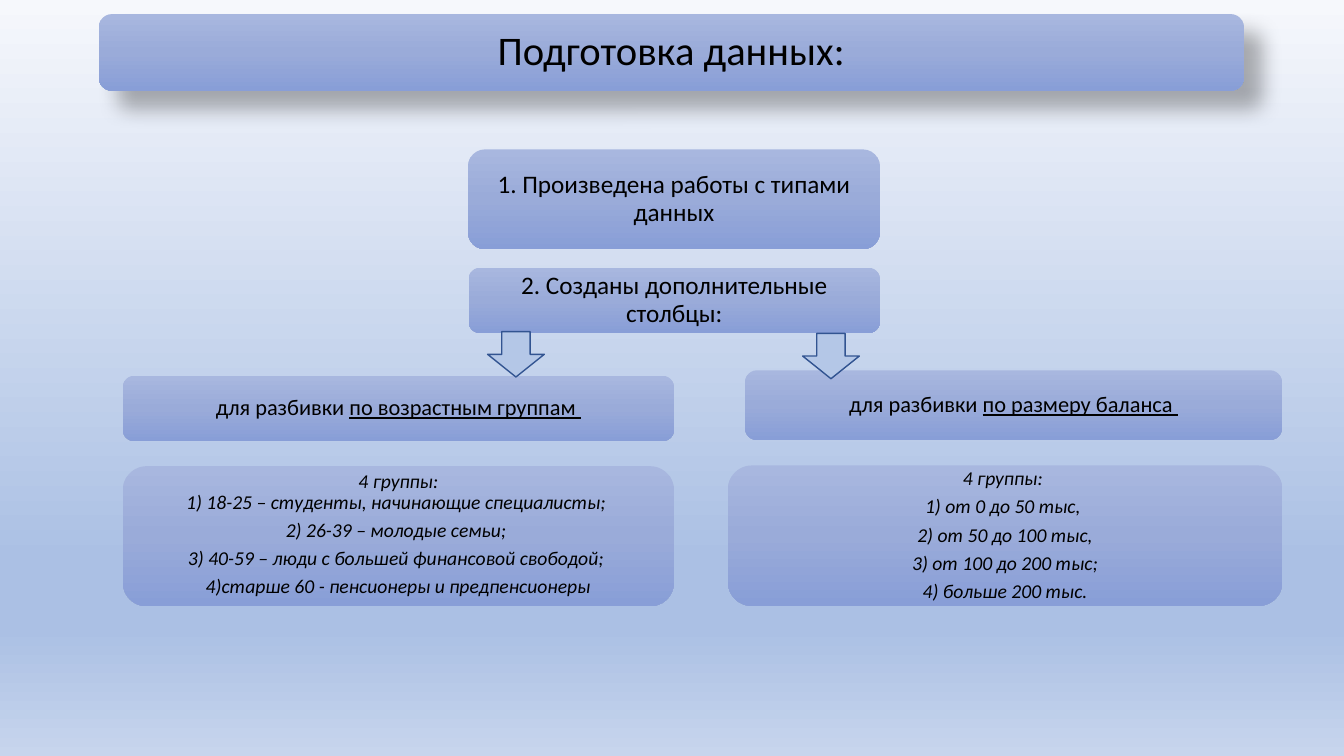
import pptx
import pptx.util
import pptx.dml.color
import pptx.enum.shapes
import pptx.enum.text
import pptx.oxml
import pptx.oxml.ns

Pt = pptx.util.Pt
RGBColor = pptx.dml.color.RGBColor
Shapes = pptx.enum.shapes.MSO_SHAPE
qn = pptx.oxml.ns.qn

COLORS = {
    "text": "000000",
    "arrow": "B4C7E7",
    "arrow_line": "325491",
    "shadow": "000000",
}
BOX_STOPS = [(0, "A8B7DF"), (50, "9AABD9"), (100, "889ED7")]
PAGE_STOPS = [(0, "F6F8FC"), (74, "ABC0E4"), (83, "ABC0E4"), (100, "C7D5ED")]


def add_run(paragraph, text, size=18, italic=False, underline=False, font="Calibri"):
    run = paragraph.add_run()
    run.text = text
    run.font.name = font
    run.font.size = Pt(size)
    run.font.italic = italic
    run.font.underline = underline
    run.font.color.rgb = RGBColor.from_string(COLORS["text"])


def parse_drawing(tag, body):
    return pptx.oxml.parse_xml(
        f'<a:{tag} {pptx.oxml.ns.nsdecls("a")}>{body}</a:{tag}>'
    )


def fill_gradient(fill, element, stops):
    """Fill from top to bottom with (percent, colour) stops."""
    fill.gradient()
    fill.gradient_angle = 270
    body = "".join(
        f'<a:gs pos="{percent * 1000}"><a:srgbClr val="{color}"/></a:gs>'
        for percent, color in stops
    )
    stop_list = next(element.iter(qn("a:gsLst")))
    stop_list.getparent().replace(stop_list, parse_drawing("gsLst", body))


class SlideBuilder:
    def __init__(self, slide):
        self.slide = slide
        fill_gradient(slide.background.fill, slide.element, PAGE_STOPS)

    def add_box(self, left, top, width, height, paragraphs, size, radius=0.17,
                italic=False, insets=(6, 6), first_spacing=(0.9, 0.35)):
        """Add a rounded box; each paragraph is a list of (text, underline)."""
        shape = self.slide.shapes.add_shape(
            Shapes.ROUNDED_RECTANGLE, Pt(left), Pt(top), Pt(width), Pt(height))
        shape.adjustments[0] = radius
        shape.shadow.inherit = False
        shape.line.fill.background()
        fill_gradient(shape.fill, shape.element, BOX_STOPS)
        frame = shape.text_frame
        frame.word_wrap = True
        frame.vertical_anchor = pptx.enum.text.MSO_ANCHOR.MIDDLE
        frame.margin_left = frame.margin_right = Pt(7)
        frame.margin_top, frame.margin_bottom = map(Pt, insets)
        for index, parts in enumerate(paragraphs):
            paragraph = frame.add_paragraph() if index else frame.paragraphs[0]
            line, after = (0.9, 0.35) if index else first_spacing
            paragraph.alignment = pptx.enum.text.PP_ALIGN.CENTER
            paragraph.line_spacing = line
            paragraph.space_after = Pt(round(after * size, 1))
            for text, underline in parts:
                add_run(paragraph, text, size=size, italic=italic, underline=underline)
        return shape

    def add_shadow(self, shape):
        effects = shape.element.spPr.find(qn("a:effectLst"))
        shadow = parse_drawing(
            "outerShdw",
            f'<a:srgbClr val="{COLORS["shadow"]}"><a:alpha val="30000"/></a:srgbClr>')
        for name, value in (("blurRad", Pt(15)), ("dist", Pt(18)), ("dir", 45 * 60000)):
            shadow.set(name, str(int(value)))
        shadow.set("algn", "ctr")
        shadow.set("rotWithShape", "0")
        effects.append(shadow)

    def add_arrow(self, left, top):
        shape = self.slide.shapes.add_shape(
            Shapes.DOWN_ARROW, Pt(left), Pt(top), Pt(40.5), Pt(32.4))
        shape.shadow.inherit = False
        shape.fill.solid()
        shape.fill.fore_color.rgb = RGBColor.from_string(COLORS["arrow"])
        shape.line.color.rgb = RGBColor.from_string(COLORS["arrow_line"])
        shape.line.width = Pt(1)


def plain(*lines):
    return [[(line, False)] for line in lines]


def main():
    presentation = pptx.Presentation()
    presentation.slide_width = Pt(960)
    presentation.slide_height = Pt(540)
    builder = SlideBuilder(presentation.slides.add_slide(presentation.slide_layouts[6]))

    # Title
    title = builder.add_box(70.6, 10.1, 817.9, 54.7, plain("Подготовка данных:"), 29)
    builder.add_shadow(title)

    # Preparation steps
    builder.add_box(334.3, 106.7, 294.2, 71.3,
                    plain("1. Произведена работы с типами данных"), 18)
    builder.add_box(334.8, 191.3, 293.7, 46.5,
                    plain("2. Созданы дополнительные столбцы:"), 18, insets=(4, 4))

    # Column headings
    headings = [
        (87.8, 268.5, 393.6, 46.5, "по возрастным группам "),
        (532.2, 264.5, 383.5, 49.7, "по размеру баланса "),
    ]
    for left, top, width, height, topic in headings:
        builder.add_box(left, top, width, height,
                        [[("для разбивки ", False), (topic, True)]], 16, insets=(4, 4))

    # Group lists
    builder.add_box(
        87.8, 333, 393.6, 100,
        plain("4 группы:",
              "1) 18-25 – студенты, начинающие специалисты; ",
              "2) 26-39 – молодые семьи; ",
              "3) 40-59 – люди с большей финансовой свободой; ",
              "4)старше 60 - пенсионеры и предпенсионеры"),
        14, italic=True, insets=(0, 4), first_spacing=(1.0, 0))
    builder.add_box(
        520, 332.5, 396, 100.3,
        plain("4 группы: ",
              "1) от 0 до 50 тыс, ",
              "2) от 50 до 100 тыс,",
              "3) от 100 до 200 тыс;",
              "4) больше 200 тыс."),
        14, italic=True, insets=(0, 0))

    # Arrows from the second step to the headings
    builder.add_arrow(348.3, 236.9)
    builder.add_arrow(573.3, 238.1)

    presentation.save("out.pptx")


if __name__ == "__main__":
    main()
